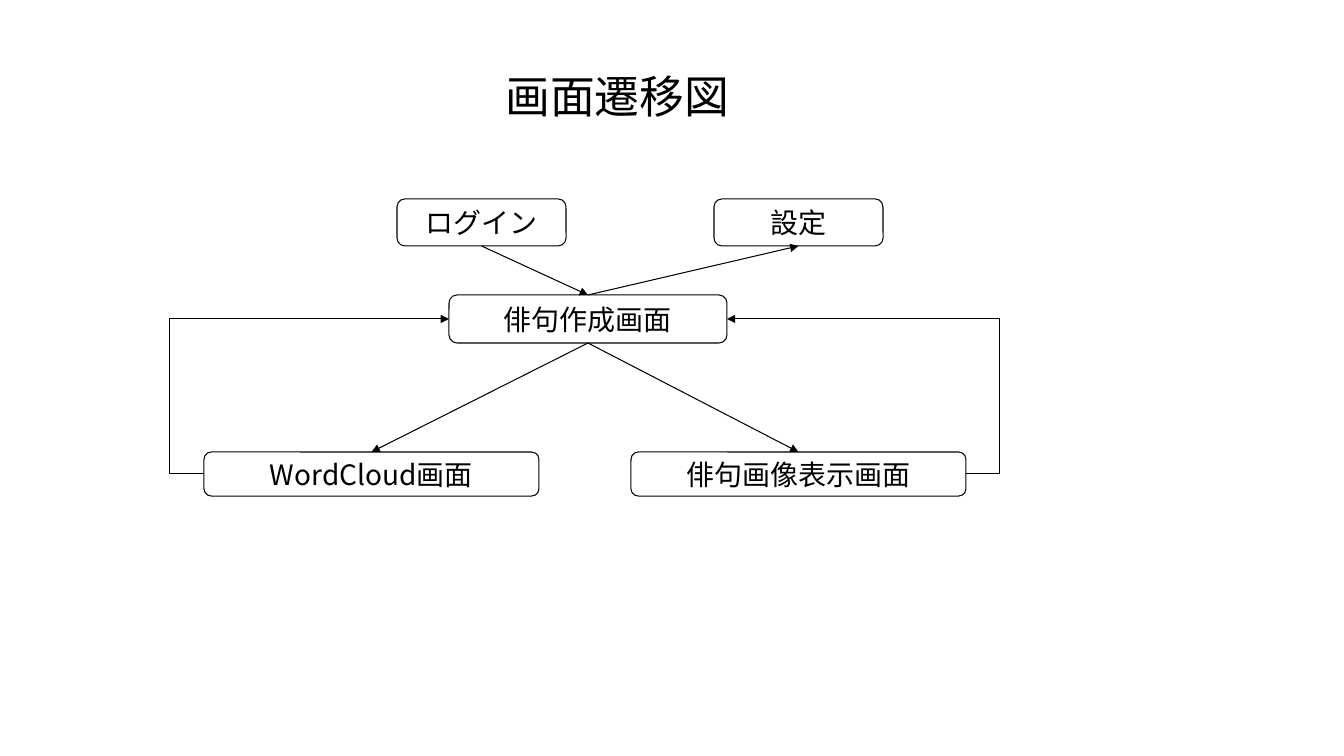
"""Draw the screen transition diagram of a haiku app."""
from dataclasses import dataclass

from lxml.etree import SubElement
from pptx import Presentation
from pptx.dml.color import RGBColor
from pptx.enum.shapes import MSO_CONNECTOR, MSO_SHAPE
from pptx.enum.text import MSO_ANCHOR, PP_ALIGN
from pptx.oxml.ns import qn
from pptx.util import Emu, Pt


@dataclass(frozen=True)
class Theme:
    """Hold the colours, font and sizes."""
    ink: RGBColor = RGBColor(0, 0, 0)
    font: str = "Noto Sans CJK JP"
    title: Pt = Pt(32)
    label: Pt = Pt(20)
    line: Pt = Pt(0.75)


THEME = Theme()
SCALE = 914400 / 100.8
TOP, LEFT, BASE, RIGHT = range(4)
REACH = 34


def px(num):
    """Turn pixels into EMU."""
    return Emu(round(num * SCALE))


def write(frame, text, size, anchor):
    """Put one centred run into a text frame."""
    frame.vertical_anchor = anchor
    para = frame.paragraphs[0]
    para.alignment = PP_ALIGN.CENTER
    run = para.add_run()
    run.text = text
    run.font.size = size
    run.font.name = THEME.font
    run.font.color.rgb = THEME.ink
    SubElement(run.font._element, qn("a:ea"), typeface=THEME.font)
    return para


def ink(line):
    """Give a line the common colour and width."""
    line.color.rgb = THEME.ink
    line.width = THEME.line


def head(slide, text, *area):
    """Place and fill the title."""
    title = slide.shapes.title
    title.left, title.top, title.width, title.height = map(px, area)
    title.text_frame.word_wrap = True
    para = write(title.text_frame, text, THEME.title, MSO_ANCHOR.BOTTOM)
    para.line_spacing = 0.9


def screen(slide, text, *area):
    """Add a rounded box for one screen."""
    box = slide.shapes.add_shape(MSO_SHAPE.ROUNDED_RECTANGLE, *map(px, area))
    box.shadow.inherit = False
    box.fill.background()
    ink(box.line)
    box.text_frame.word_wrap = False
    write(box.text_frame, text, THEME.label, MSO_ANCHOR.MIDDLE)
    return box


def arrow(slide, start, out, end, into, kind=MSO_CONNECTOR.STRAIGHT):
    """Join two screens with an arrow."""
    link = slide.shapes.add_connector(kind, 0, 0, 0, 0)
    link.begin_connect(start, out)
    link.end_connect(end, into)
    ink(link.line)
    SubElement(link.line._get_or_add_ln(), qn("a:tailEnd"), type="triangle")
    SubElement(link._element.spPr, qn("a:effectLst"))
    return link


def back(slide, start, end, side):
    """Join two screens with an elbow that swings outwards."""
    link = arrow(slide, start, side, end, side, MSO_CONNECTOR.ELBOW)
    bend = round(-100000 * px(REACH) / link.width)
    geom = link._element.spPr.find(qn("a:prstGeom"))
    SubElement(geom.find(qn("a:avLst")), qn("a:gd"),
               name="adj1", fmla=f"val {bend}")


def main():
    """Build and save the slide."""
    deck = Presentation()
    deck.slide_width, deck.slide_height = px(1344), px(756)
    slide = deck.slides.add_slide(deck.slide_layouts[5])
    head(slide, "画面遷移図", 391, -18, 453, 146)

    login = screen(slide, "ログイン", 397, 199, 169, 47)
    setup = screen(slide, "設定", 714, 199, 169, 47)
    haiku = screen(slide, "俳句作成画面", 449, 295, 278, 48)
    cloud = screen(slide, "WordCloud画面", 204, 452, 335, 44)
    image = screen(slide, "俳句画像表示画面", 631, 452, 335, 44)

    arrow(slide, login, BASE, haiku, TOP)
    arrow(slide, haiku, TOP, setup, BASE)
    for view, side in ((cloud, LEFT), (image, RIGHT)):
        arrow(slide, haiku, BASE, view, TOP)
        back(slide, view, haiku, side)
    deck.save("out.pptx")


main()
